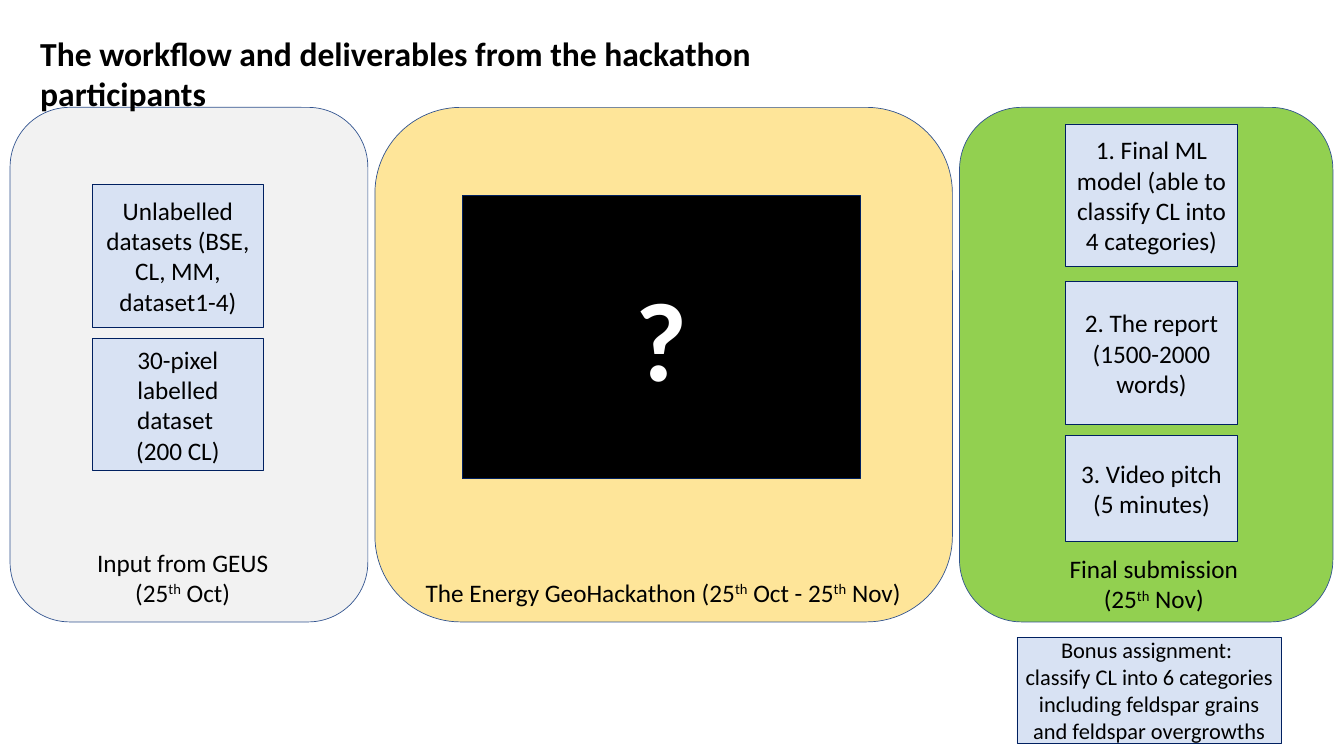
"""Build the hackathon workflow slide: three stage panels with their cards."""
from pptx import Presentation, util as u
from pptx.dml.color import RGBColor
from pptx.enum import shapes, text

WIDE, HIGH = 26.67, 15
TOP, TALL, EDGE, GAP = 2.13, 10.21, 0.2, 0.14
CARD, BLUE, NAVY = 3.4, "D8E2F3", "002060"
BODY = {"size": u.Pt(36), "name": "Calibri", "bold": False}
SMALL = {**BODY, "size": u.Pt(32)}
HEAD = {**BODY, "size": u.Pt(48), "bold": True}
HUGE = {**BODY, "size": u.Pt(160), "bold": True}
MID, LEFT = text.PP_ALIGN.CENTER, text.PP_ALIGN.LEFT

TITLE = "The workflow and deliverables from the hackathon participants"
# Text between carets is superscript.
STAGES = [
    {"width": 7.1, "fill": "F2F2F2", "col": 1.83,
     "cards": [(3.66, 2.83, ["Unlabelled datasets (BSE, CL, MM, dataset1-4)"]),
               (6.72, 2.62, ["30-pixel labelled dataset ", "(200 CL)"])],
     "label": "Input from GEUS (25^th^ Oct)",
     "place": (1.54, 10.8, 4.17, 1.31), "align": MID},
    {"width": 11.46, "fill": "FEE599", "col": 9.17, "cards": [],
     "label": "The Energy GeoHackathon (25^th^ Oct - 25^th^ Nov)",
     "place": (8.35, 11.4, 10.26, 0.71), "align": LEFT},
    {"width": 7.41, "fill": "92D050", "col": 21.15,
     "cards": [(2.46, 2.83, ["1. Final ML model (able to classify CL into 4 categories)"]),
               (5.59, 2.83, ["2. The report (1500-2000 words)"]),
               (8.64, 2.11, ["3. Video pitch (5 minutes)"])],
     "label": "Final submission (25^th^ Nov)",
     "place": (20.81, 10.93, 4.17, 1.31), "align": MID},
]
BONUS = ["Bonus assignment: ",
         "classify CL into 6 categories including feldspar grains and feldspar overgrowths"]


def tint(code):
    """Turn a hex string into a colour."""
    return RGBColor.from_string(code)


def write(shape, lines, form, align=MID, ink="000000"):
    """Fill a shape with paragraphs, raising the parts between carets."""
    frame = shape.text_frame
    frame.word_wrap = True
    for row, line in enumerate(lines):
        para = frame.paragraphs[0] if row == 0 else frame.add_paragraph()
        para.alignment = align
        for nth, part in enumerate(line.split("^")):
            run = para.add_run()
            run.text = part
            for key, val in form.items():
                setattr(run.font, key, val)
            run.font.color.rgb = tint(ink)
            if nth % 2:
                run._r.get_or_add_rPr().set("baseline", "30000")


def block(slide, kind, place, fill, line):
    """Draw a filled and outlined shape."""
    shape = slide.shapes.add_shape(kind, *map(u.Inches, place))
    shape.shadow.inherit = False
    shape.fill.solid()
    shape.fill.fore_color.rgb = tint(fill)
    shape.line.color.rgb = tint(line)
    shape.line.width = u.Pt(1)
    return shape


def card(slide, place, lines, form=BODY, fill=BLUE, ink="000000"):
    """Draw a rectangle with centred text."""
    shape = block(slide, shapes.MSO_SHAPE.RECTANGLE, place, fill, NAVY)
    shape.text_frame.vertical_anchor = text.MSO_ANCHOR.MIDDLE
    write(shape, lines, form, ink=ink)


def label(slide, place, line, form=BODY, align=MID):
    """Place a plain line of text."""
    write(slide.shapes.add_textbox(*map(u.Inches, place)), [line], form, align)


def main():
    """Lay out the slide and save it."""
    deck = Presentation()
    deck.slide_width, deck.slide_height = u.Inches(WIDE), u.Inches(HIGH)
    slide = deck.slides.add_slide(deck.slide_layouts[6])
    left = EDGE
    for stage in STAGES:
        place = (left, TOP, stage["width"], TALL)
        block(slide, shapes.MSO_SHAPE.ROUNDED_RECTANGLE, place, stage["fill"], "31538F")
        left += stage["width"] + GAP
        for top, tall, lines in stage["cards"]:
            card(slide, (stage["col"], top, CARD, tall), lines)
        label(slide, stage["place"], stage["label"], align=stage["align"])
    card(slide, (STAGES[1]["col"], 3.87, 7.9, 5.63), ["?"], HUGE, "000000", "FFFFFF")
    label(slide, (0.7, 0.6, 16.93, 0.91), TITLE, HEAD, LEFT)
    card(slide, (20.18, 12.64, 5.25, 2.11), BONUS, SMALL)
    deck.save("out.pptx")


if __name__ == "__main__":
    main()
